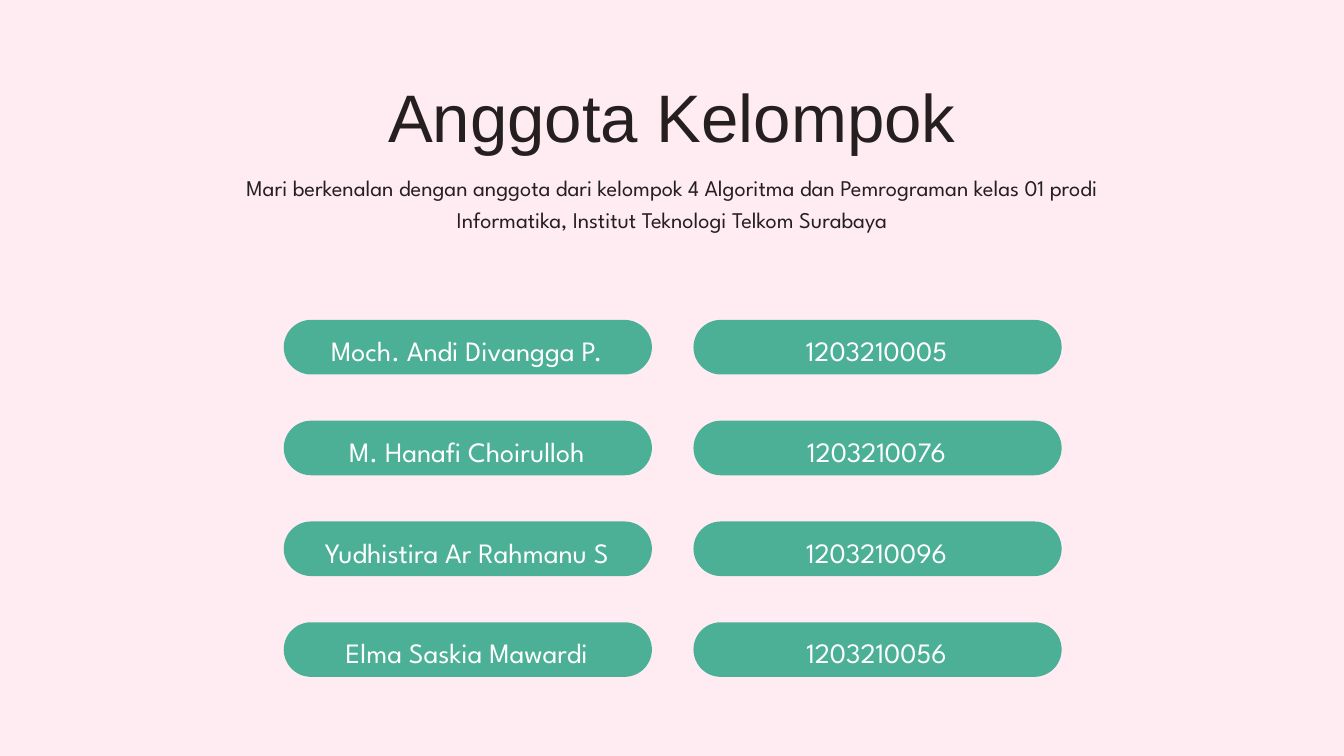
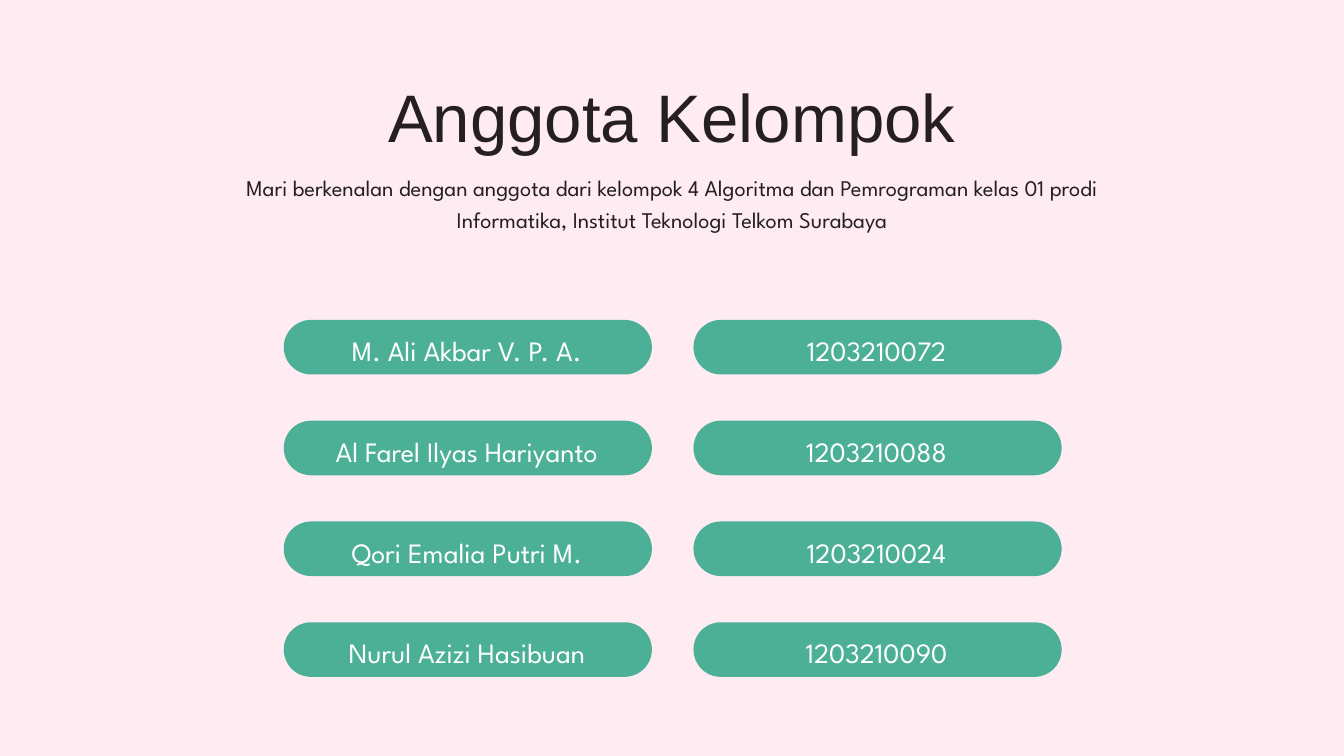
from pptx import Presentation
from pptx.dml.color import RGBColor
from pptx.enum.shapes import MSO_SHAPE
from pptx.enum.text import MSO_ANCHOR, MSO_AUTO_SIZE, PP_ALIGN
from pptx.util import Pt

COLORS = {"background": "FFECF3", "ink": "25201F", "pill": "4BB096", "pill_text": "FFFFFF"}
TITLE_FONT = "Arial"
BODY_FONT = "League Spartan"

HEADER_LEFT, HEADER_WIDTH = 253.5, 933
PILL_TOP, PILL_WIDTH, PILL_HEIGHT = 342.75, 394.5, 58.5
NAME_LEFT, NUMBER_LEFT = 304, 743
ROW_PITCH = 108

TITLE = "Anggota Kelompok"
INTRODUCTION = (
    "Mari berkenalan dengan anggota dari kelompok 4 Algoritma dan Pemrograman "
    "kelas 01 prodi Informatika, Institut Teknologi Telkom Surabaya"
)
MEMBER_GROUPS = [
    [
        ("Moch. Andi Divangga P.", "1203210005"),
        ("M. Hanafi Choirulloh", "1203210076"),
        ("Yudhistira Ar Rahmanu S", "1203210096"),
        ("Elma Saskia Mawardi", "1203210056"),
    ],
    [
        ("M. Ali Akbar V. P. A.", "1203210072"),
        ("Al Farel Ilyas Hariyanto", "1203210088"),
        ("Qori Emalia Putri M.", "1203210024"),
        ("Nurul Azizi Hasibuan", "1203210090"),
    ],
]


class MemberDeck:
    def __init__(self):
        self.presentation = Presentation()
        self.presentation.slide_width = Pt(1440)
        self.presentation.slide_height = Pt(810)
        self.slide = None
        self.fill(self.presentation.slide_master.background.fill, "background")

    def fill(self, fill, color):
        fill.solid()
        fill.fore_color.rgb = RGBColor.from_string(COLORS[color])

    def add_slide(self):
        layout = self.presentation.slide_layouts[5]
        self.slide = self.presentation.slides.add_slide(layout)

    def set_text(self, shape, text, font, size, line_spacing, color):
        frame = shape.text_frame
        frame.word_wrap = True
        frame.auto_size = MSO_AUTO_SIZE.NONE
        frame.vertical_anchor = MSO_ANCHOR.TOP
        frame.margin_left = frame.margin_top = 0
        frame.margin_right = frame.margin_bottom = 0
        frame.text = text
        paragraph = frame.paragraphs[0]
        paragraph.alignment = PP_ALIGN.CENTER
        paragraph.line_spacing = Pt(line_spacing)
        paragraph.font.name = font
        paragraph.font.size = Pt(size)
        paragraph.font.color.rgb = RGBColor.from_string(COLORS[color])

    def title(self, text):
        shape = self.slide.shapes.title
        shape.left, shape.top = Pt(HEADER_LEFT), Pt(80.75)
        shape.width, shape.height = Pt(HEADER_WIDTH), Pt(86.4)
        self.set_text(shape, text, TITLE_FONT, 72, 86.4, "ink")

    def introduction(self, text):
        shape = self.slide.shapes.add_textbox(
            Pt(HEADER_LEFT), Pt(182), Pt(HEADER_WIDTH), Pt(65)
        )
        self.set_text(shape, text, BODY_FONT, 24, 33.6, "ink")

    def pill(self, left, top, text):
        shape = self.slide.shapes.add_shape(
            MSO_SHAPE.ROUNDED_RECTANGLE, Pt(left), Pt(top), Pt(PILL_WIDTH), Pt(PILL_HEIGHT)
        )
        shape.adjustments[0] = 0.5
        shape.shadow.inherit = False
        self.fill(shape.fill, "pill")
        shape.line.fill.background()
        self.set_text(shape, text, BODY_FONT, 30, 42, "pill_text")
        shape.text_frame.margin_right = Pt(2)

    def members(self, members):
        for row, (name, number) in enumerate(members):
            top = PILL_TOP + row * ROW_PITCH
            self.pill(NAME_LEFT, top, name)
            self.pill(NUMBER_LEFT, top, number)


def main():
    deck = MemberDeck()
    for members in MEMBER_GROUPS:
        deck.add_slide()
        deck.title(TITLE)
        deck.introduction(INTRODUCTION)
        deck.members(members)
    deck.presentation.save("out.pptx")


if __name__ == "__main__":
    main()
